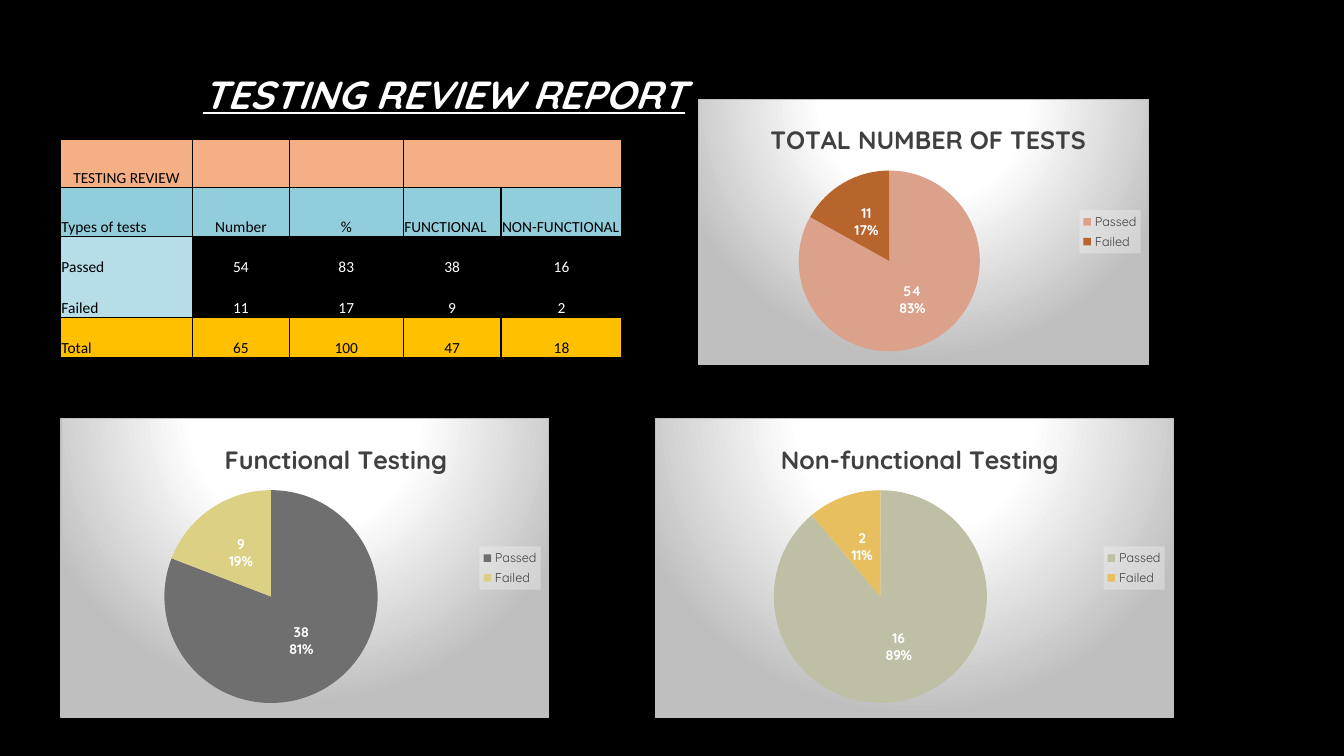
import pptx
import pptx.chart.data
import pptx.dml.color
import pptx.enum.chart
import pptx.enum.text
import pptx.oxml
import pptx.oxml.ns
import pptx.util
from pptx.util import Inches, Pt

TITLE = "TESTING REVIEW REPORT"
REVIEW = [
    ["TESTING REVIEW", "", "", "", ""],
    ["Types of tests", "Number", "%", "FUNCTIONAL", "NON-FUNCTIONAL"],
    ["Passed", "54", "83", "38", "16"],
    ["Failed", "11", "17", "9", "2"],
    ["Total", "65", "100", "47", "18"],
]
COLUMN_WIDTHS = [1.31, 0.96, 1.13, 0.97, 1.2]
ROW_HEIGHTS = [0.48, 0.49, 0.4, 0.4, 0.4]
# Fill of the first cell and of the remaining cells in each row
ROW_FILLS = [("F4B084", "F4B084"), ("92CDDC", "92CDDC"), ("B6DDE8", None),
             ("B6DDE8", None), ("FFC000", "FFC000")]
LEFT_ALIGNED = {(1, 0), (1, 3), (1, 4), (2, 0), (3, 0), (4, 0)}
OPEN_EDGES = {(0, 3): "R", (0, 4): "L"}
OPEN_EDGES.update({(2, col): "B" for col in range(5)})
OPEN_EDGES.update({(3, col): "T" for col in range(5)})

RESULTS = ["Passed", "Failed"]
# "title_left", "centre" and "radius" are inches inside the chart
PIES = [
    {"title": "TOTAL NUMBER OF TESTS", "box": (6.92, 0.98, 4.48, 2.64),
     "values": (54, 11), "colours": ("DBA18B", "B8642D"),
     "title_left": 0.67, "centre": (1.9, 1.61), "radius": 0.9},
    {"title": "Functional Testing", "box": (0.6, 4.15, 4.85, 2.97),
     "values": (38, 9), "colours": ("6F6F6F", "DCD084"),
     "title_left": 1.58, "centre": (2.09, 1.77), "radius": 1.06},
    {"title": "Non-functional Testing", "box": (6.5, 4.15, 5.14, 2.97),
     "values": (16, 2), "colours": ("BFBFA5", "E7BF5F"),
     "title_left": 1.2, "centre": (2.23, 1.77), "radius": 1.06},
]
TITLE_TOP = 0.18

A_NS = pptx.oxml.ns.nsdecls("a")
C_NS = pptx.oxml.ns.nsdecls("c", "a")
qn = pptx.oxml.ns.qn
CHART_SURFACE = f"""<c:spPr {C_NS}><a:gradFill><a:gsLst>
<a:gs pos="0"><a:srgbClr val="FFFFFF"/></a:gs>
<a:gs pos="39000"><a:srgbClr val="FFFFFF"/></a:gs>
<a:gs pos="100000"><a:srgbClr val="BFBFBF"/></a:gs></a:gsLst>
<a:path path="circle"><a:fillToRect l="50000" t="-80000" r="50000" b="180000"/></a:path>
</a:gradFill><a:ln w="9525"><a:solidFill><a:srgbClr val="BFBFBF"/></a:solidFill></a:ln></c:spPr>"""
LEGEND_SURFACE = f"""<c:spPr {C_NS}><a:solidFill><a:srgbClr val="F2F2F2">
<a:alpha val="39000"/></a:srgbClr></a:solidFill></c:spPr>"""


def rgb(hex_colour):
    return pptx.dml.color.RGBColor.from_string(hex_colour)


def paint(fill, hex_colour):
    fill.solid()
    fill.fore_color.rgb = rgb(hex_colour)


def style(font, name, size, colour, bold=False):
    font.name, font.size, font.bold = name, Pt(size), bold
    font.color.rgb = rgb(colour)


def add_borders(cell, open_edge):
    for edge in "LRTB":
        paint_xml = ("<a:noFill/>" if edge == open_edge else
                     '<a:solidFill><a:srgbClr val="000000"/></a:solidFill>')
        cell._tc.get_or_add_tcPr().append(pptx.oxml.parse_xml(
            f'<a:ln{edge} {A_NS} w="12700">{paint_xml}</a:ln{edge}>'))


def place(parent, index, target, **fractions):
    """Give a chart part a manual layout, as fractions of the chart."""
    for old in parent.findall(qn("c:layout")):
        parent.remove(old)
    inner = f'<c:layoutTarget val="{target}"/>' if target else ""
    modes = '<c:xMode val="edge"/><c:yMode val="edge"/>'
    sizes = "".join(f'<c:{key} val="{value:.3f}"/>' for key, value in fractions.items())
    parent.insert(index, pptx.oxml.parse_xml(
        f"<c:layout {C_NS}><c:manualLayout>{inner}{modes}{sizes}</c:manualLayout></c:layout>"))


def add_review_table(slide):
    table = slide.shapes.add_table(
        len(REVIEW), len(COLUMN_WIDTHS), Inches(0.6), Inches(1.38),
        Inches(sum(COLUMN_WIDTHS)), Inches(sum(ROW_HEIGHTS))).table
    table.first_row = table.horz_banding = False
    for column, width in zip(table.columns, COLUMN_WIDTHS):
        column.width = Inches(width)
    for r, texts in enumerate(REVIEW):
        table.rows[r].height = Inches(ROW_HEIGHTS[r])
        for c, text in enumerate(texts):
            cell = table.cell(r, c)
            add_borders(cell, OPEN_EDGES.get((r, c)))
            fill = ROW_FILLS[r][min(c, 1)]
            if fill:
                paint(cell.fill, fill)
            else:
                cell.fill.background()
            cell.margin_left = cell.margin_right = cell.margin_top = Inches(0.01)
            cell.margin_bottom = 0
            cell.vertical_anchor = pptx.enum.text.MSO_ANCHOR.BOTTOM
            cell.text = text
            line = cell.text_frame.paragraphs[0]
            align = pptx.enum.text.PP_ALIGN
            line.alignment = align.LEFT if (r, c) in LEFT_ALIGNED else align.CENTER
            style(line.font, "Calibri", 11, "000000" if fill else "FFFFFF")


def add_pie(slide, pie):
    data = pptx.chart.data.CategoryChartData()
    data.categories = RESULTS
    data.add_series("Series 1", pie["values"])
    chart = slide.shapes.add_chart(
        pptx.enum.chart.XL_CHART_TYPE.PIE, *map(Inches, pie["box"]), data).chart
    style(chart.font, "Quicksand", 10, "FFFFFF")
    space = chart._chartSpace
    space.find(qn("c:chart")).addnext(pptx.oxml.parse_xml(CHART_SURFACE))

    width, height = pie["box"][2:]
    chart.has_title = True
    heading = chart.chart_title.text_frame
    heading.text = pie["title"]
    style(heading.paragraphs[0].font, "Quicksand", 18, "404040", True)
    chart.chart_title.include_in_layout = False
    place(chart.chart_title._element, 1, None,
          x=pie["title_left"] / width, y=TITLE_TOP / height)
    (x, y), radius = pie["centre"], pie["radius"]
    place(space.find(qn("c:chart")).find(qn("c:plotArea")), 0, "inner",
          x=(x - radius) / width, y=(y - radius) / height,
          w=2 * radius / width, h=2 * radius / height)

    chart.has_legend = True
    legend = chart.legend
    legend.position = pptx.enum.chart.XL_LEGEND_POSITION.RIGHT
    legend.include_in_layout = False
    style(legend.font, "Quicksand", 9, "404040")
    legend._element.find(qn("c:overlay")).addnext(pptx.oxml.parse_xml(LEGEND_SURFACE))

    plot = chart.plots[0]
    plot.vary_by_categories = True
    series = plot.series[0]
    for index, colour in enumerate(pie["colours"]):
        paint(series.points[index].format.fill, colour)
    labels = series.data_labels
    style(labels.font, "Quicksand", 10, "FFFFFF", True)
    labels.show_value = labels.show_percentage = True
    labels.position = pptx.enum.chart.XL_LABEL_POSITION.CENTER
    last_flag = [flag for flag in labels._element if "}show" in flag.tag
                 and not flag.tag.endswith("showLeaderLines")][-1]
    last_flag.addnext(pptx.oxml.parse_xml(f"<c:separator {C_NS}>\n</c:separator>"))


def main():
    deck = pptx.Presentation()
    deck.slide_width, deck.slide_height = Inches(13.33), Inches(7.5)
    slide = deck.slides.add_slide(deck.slide_layouts[0])
    paint(slide.background.fill, "000000")
    subtitle = slide.placeholders[1]._element
    subtitle.getparent().remove(subtitle)

    title = slide.shapes.title
    title.left, title.top, title.width, title.height = map(Inches, (1.91, 0.67, 9.49, 0.54))
    title.text = TITLE
    title.text_frame.vertical_anchor = pptx.enum.text.MSO_ANCHOR.BOTTOM
    heading = title.text_frame.paragraphs[0]
    heading.alignment = pptx.enum.text.PP_ALIGN.LEFT
    style(heading.font, "Quicksand", 28, "FFFFFF", True)
    heading.font.italic = heading.font.underline = True

    add_review_table(slide)
    for pie in PIES:
        add_pie(slide, pie)
    deck.save("out.pptx")


if __name__ == "__main__":
    main()
